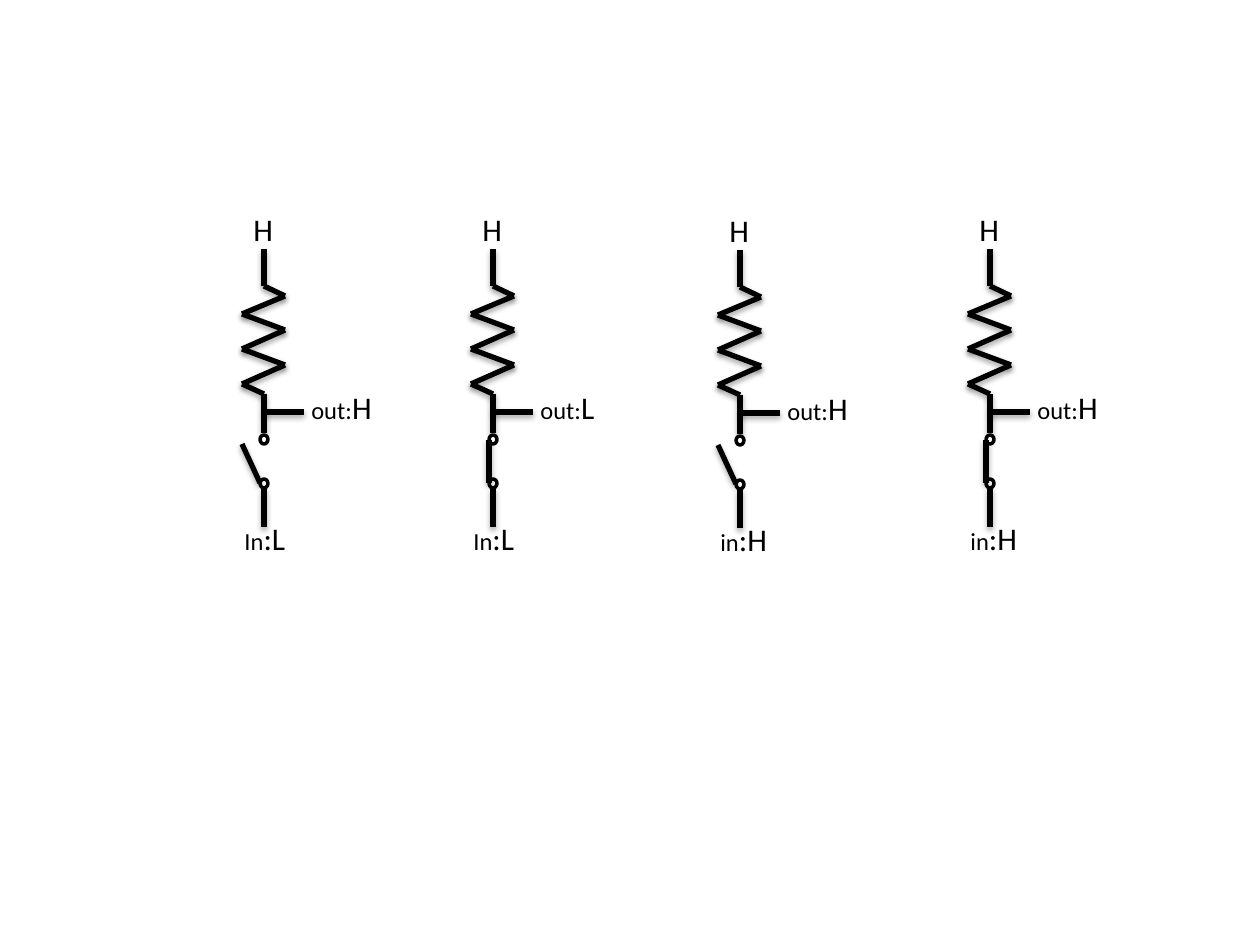
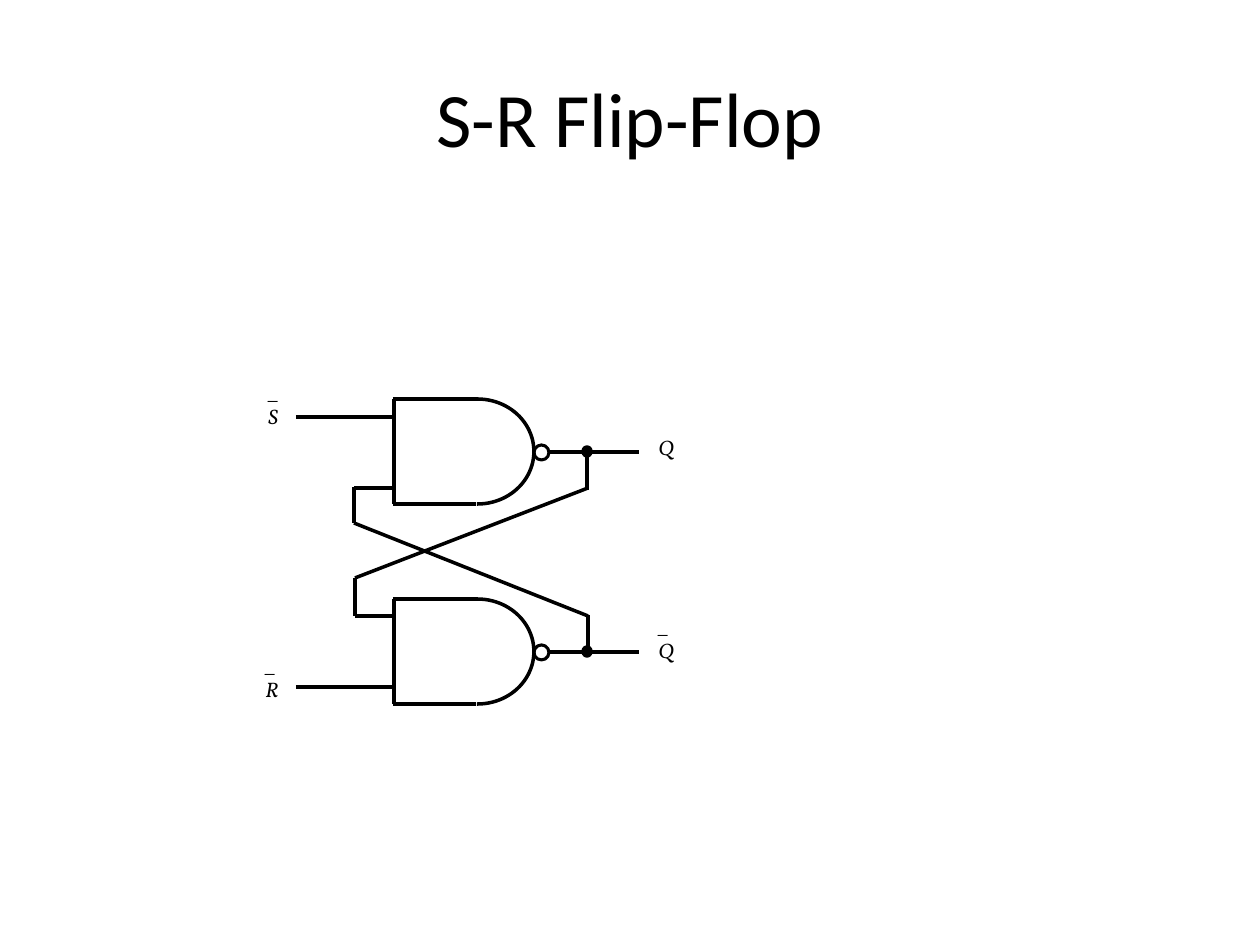
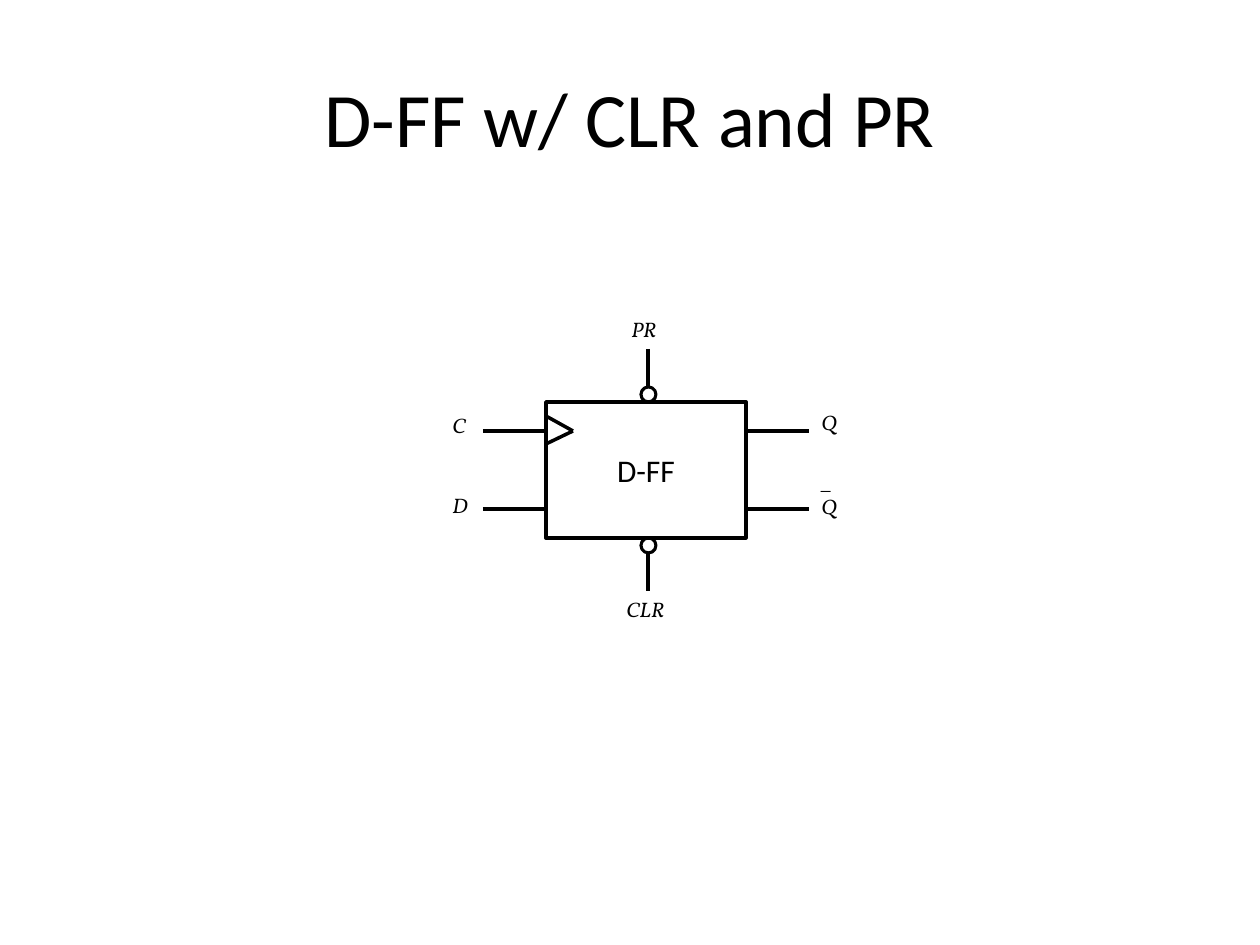
from dataclasses import dataclass

from lxml import etree
from pptx import Presentation, util as u
from pptx.dml.color import RGBColor
from pptx.enum import shapes, text
from pptx.oxml import ns


@dataclass(frozen=True)
class Theme:
    ink: str = "000000"
    paper: str = "FFFFFF"
    sans: str = "Calibri"
    serif: str = "Vollkorn"
    title: int = 44
    level: int = 18
    port: int = 14
    signal: int = 12
    heavy: float = 3
    normal: float = 2
    thin: float = 1.75


THEME = Theme()
SCALE = u.Inches(1) / 126


def px(length):
    return u.Emu(round(length * SCALE))


def write_text(frame, paragraphs, font=THEME.sans, italic=None, align=None,
               anchor=text.MSO_ANCHOR.TOP, wrap=True):
    """Each paragraph is a list of (words, size) runs."""
    frame.word_wrap = wrap
    frame.vertical_anchor = anchor
    for index, runs in enumerate(paragraphs):
        paragraph = frame.add_paragraph() if index else frame.paragraphs[0]
        paragraph.alignment = align
        for words, size in runs:
            run = paragraph.add_run()
            run.text = words
            run.font.name = font
            run.font.size = u.Pt(size)
            run.font.italic = italic
            run.font.color.rgb = RGBColor.from_string(THEME.ink)


class Drawing:
    def __init__(self, presentation):
        self.presentation = presentation
        self.slide = None
        self.target = None

    def new_slide(self, title=None):
        self.slide = self.presentation.slides.add_slide(self.presentation.slide_layouts[6])
        self.end_group()
        if title:
            box = self.target.add_textbox(px(63), px(38), px(1134), px(157))
            write_text(box.text_frame, [[(title, THEME.title)]],
                       align=text.PP_ALIGN.CENTER, anchor=text.MSO_ANCHOR.MIDDLE)

    def start_group(self):
        self.target = self.slide.shapes.add_group_shape().shapes

    def end_group(self):
        self.target = self.slide.shapes

    def line(self, x1, y1, x2, y2, width=THEME.normal, shadow=False):
        connector = self.target.add_connector(
            shapes.MSO_CONNECTOR.STRAIGHT, px(x1), px(y1), px(x2), px(y2))
        connector.line.color.rgb = RGBColor.from_string(THEME.ink)
        connector.line.width = u.Pt(width)
        properties = connector._element.spPr
        effects = etree.SubElement(properties, ns.qn("a:effectLst"))
        if shadow:
            outer = etree.SubElement(effects, ns.qn("a:outerShdw"), blurRad="40000",
                                     dist="23000", dir="5400000", rotWithShape="0")
            color = etree.SubElement(outer, ns.qn("a:srgbClr"), val=THEME.ink)
            etree.SubElement(color, ns.qn("a:alpha"), val="35000")

    def shape(self, kind, x, y, width, height, fill=None, outline=THEME.normal):
        shape = self.target.add_shape(kind, px(x), px(y), px(width), px(height))
        shape.shadow.inherit = False
        if fill:
            shape.fill.solid()
            shape.fill.fore_color.rgb = RGBColor.from_string(fill)
        else:
            shape.fill.background()
        shape.line.color.rgb = RGBColor.from_string(THEME.ink)
        shape.line.width = u.Pt(outline)
        return shape

    def terminal(self, x, y, fill=THEME.paper):
        self.shape(shapes.MSO_SHAPE.OVAL, x, y, 8, 9, fill)

    def bubble(self, x, y):
        self.shape(shapes.MSO_SHAPE.OVAL, x, y, 15, 15, outline=THEME.thin)

    def label(self, x, y, width, height, paragraphs, **style):
        box = self.target.add_textbox(px(x), px(y), px(width), px(height))
        write_text(box.text_frame, paragraphs, wrap=False, **style)
        box.text_frame.auto_size = text.MSO_AUTO_SIZE.SHAPE_TO_FIT_TEXT

    def signal(self, x, y, width, name, inverted=False):
        rows = ["_", name] if inverted else [name]
        self.label(x, y, width, 63 if inverted else 38,
                   [[(row, THEME.signal)] for row in rows], font=THEME.serif, italic=True)

    def pull_up(self, x, y, closed, source, output):
        """Resistor above a switch; x is the wire, y shifts the whole circuit."""
        def wire(x1, y1, x2, y2):
            self.line(x + x1, y + y1, x + x2, y + y2, THEME.heavy, shadow=True)

        self.label(x - 23, y + 204, 45, 50, [[("H", THEME.level)]])
        # Resistor with the upper switch contact
        zigzag = [(0, 249), (0, 286), (21, 296), (-22, 314), (21, 330), (-22, 349),
                  (21, 365), (-22, 384), (0, 394), (0, 433)]
        self.start_group()
        for start, end in zip(zigzag, zigzag[1:]):
            wire(*start, *end)
        self.terminal(x - 4, y + 435)
        self.end_group()
        # Switch, input and output
        self.terminal(x - 4, y + 479)
        wire(*((-4, 440) if closed else (-22, 444)), -4, 483)
        wire(0, 527, 0, 488)
        wire(40, 412, 0, 412)
        self.label(x + 35, y + 382, 81 if output == "L" else 86, 50,
                   [[("out:", THEME.port), (output, THEME.level)]])
        name, level = source
        self.label(x - 32, y + 513, 68 if level == "L" else 72, 50,
                   [[(name, THEME.port), (":" + level, THEME.level)]])

    def nand_gate(self, top):
        bottom = top + 105
        self.bubble(534, top + 46)
        self.start_group()
        arc = self.shape(shapes.MSO_SHAPE.ARC, 421, top, 113, 105)
        arc.adjustments[0] = 162
        arc.adjustments[1] = 54.4
        self.line(393, top, 478, top)
        self.line(394, top, 394, bottom)
        self.line(393, bottom, 476, bottom)
        self.end_group()
        self.line(548, top + 53, 639, top + 53)
        self.terminal(583, top + 48, THEME.ink)


presentation = Presentation()
presentation.slide_width = u.Inches(10)
presentation.slide_height = u.Inches(7.5)
drawing = Drawing(presentation)

# Slide 1: pull-up switch in its four states
drawing.new_slide()
for circuit in [
    (264, 0, False, ("In", "L"), "H"),
    (493, 0, True, ("In", "L"), "L"),
    (740, 1, False, ("in", "H"), "H"),
    (990, 0, True, ("in", "H"), "H"),
]:
    drawing.pull_up(*circuit)

# Slide 2: cross-coupled gates
drawing.new_slide("S-R Flip-Flop")
for gate_top in (399, 599):
    drawing.nand_gate(gate_top)
for wire in [
    (296, 417, 393, 417), (296, 687, 394, 687),  # inputs
    (354, 488, 394, 488), (354, 487, 354, 523), (354, 523, 588, 616), (588, 615, 588, 652),
    (355, 616, 393, 616), (355, 578, 355, 616), (355, 578, 588, 488), (587, 452, 587, 490),
]:
    drawing.line(*wire)
drawing.signal(256, 372, 42, "S", inverted=True)
drawing.signal(253, 645, 44, "R", inverted=True)
drawing.signal(646, 428, 47, "Q")
drawing.signal(646, 606, 47, "Q", inverted=True)

# Slide 3: flip-flop block with clear and preset
drawing.new_slide("D-FF w/ CLR and PR")
block = drawing.shape(shapes.MSO_SHAPE.RECTANGLE, 546, 402, 200, 136)
write_text(block.text_frame, [[("D-FF", THEME.level)]],
           align=text.PP_ALIGN.CENTER, anchor=text.MSO_ANCHOR.MIDDLE)
for bubble_top in (387, 538):
    drawing.bubble(641, bubble_top)
for pin_y in (431, 509):
    for pin_x in (483, 746):
        drawing.line(pin_x, pin_y, pin_x + 63, pin_y)
for pin_top in (349, 553):
    drawing.line(648, pin_top, 648, pin_top + 38)
for clock_y in (416, 444):
    drawing.line(546, clock_y, 573, 431)
drawing.signal(440, 406, 44, "C")
drawing.signal(440, 486, 47, "D")
drawing.signal(809, 403, 47, "Q")
drawing.signal(809, 462, 47, "Q", inverted=True)
drawing.signal(619, 310, 57, "PR")
drawing.signal(614, 590, 69, "CLR")

presentation.save("out.pptx")
